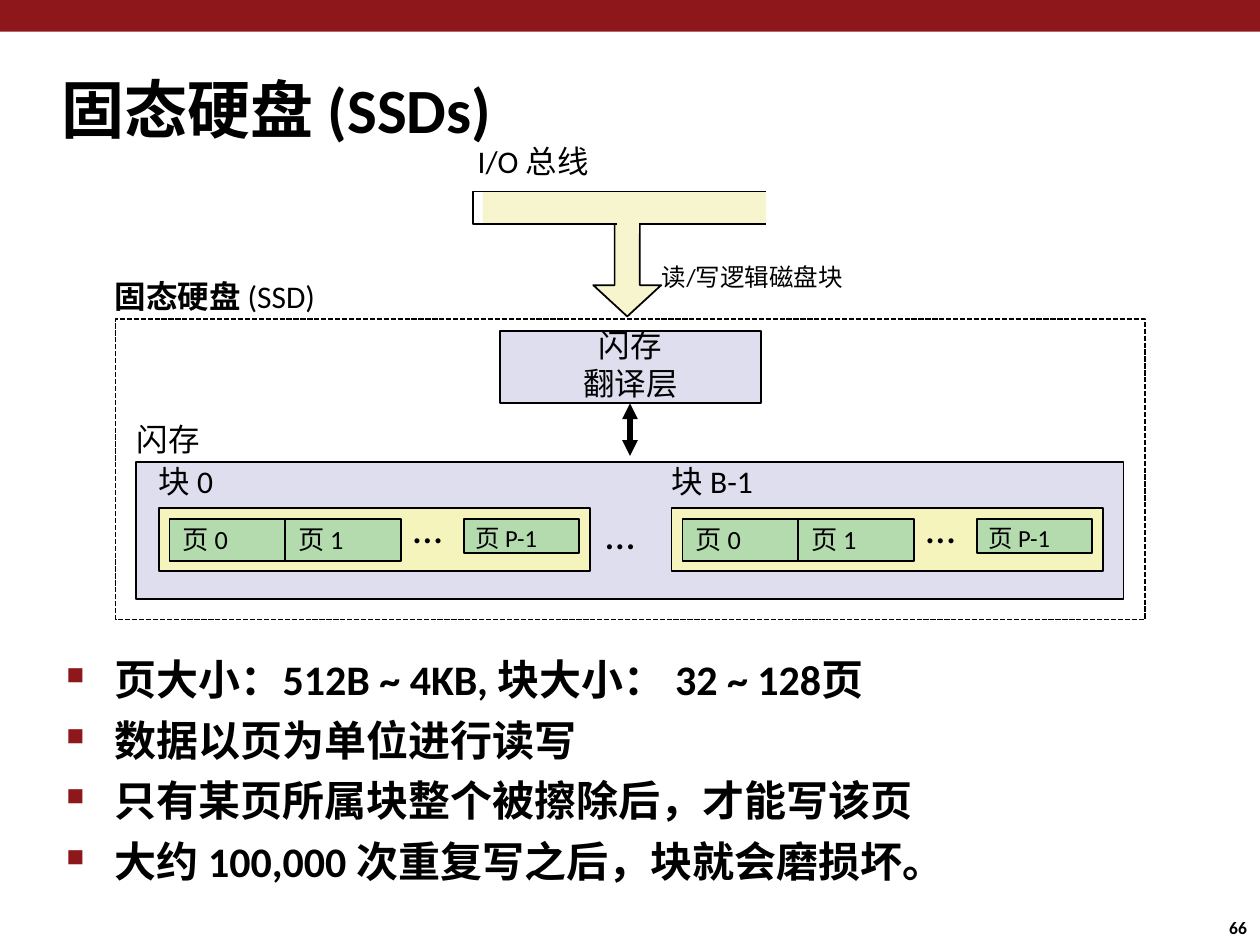
from lxml import etree
from pptx import Presentation
from pptx.dml.color import RGBColor
from pptx.enum.dml import MSO_LINE
from pptx.enum.shapes import MSO_CONNECTOR, MSO_SHAPE
from pptx.enum.text import MSO_ANCHOR, MSO_AUTO_SIZE, PP_ALIGN
from pptx.oxml.ns import qn
from pptx.util import Cm, Pt

RECTANGLE, DOWN_ARROW = MSO_SHAPE.RECTANGLE, MSO_SHAPE.DOWN_ARROW
STRAIGHT = MSO_CONNECTOR.STRAIGHT
DASHED = MSO_LINE.SQUARE_DOT
LEFT, CENTER = PP_ALIGN.LEFT, PP_ALIGN.CENTER
TOP, NO_FIT = MSO_ANCHOR.TOP, MSO_AUTO_SIZE.NONE

FONT = "Calibri"
COLORS = {
    "band": "8D171A",
    "ink": "000000",
    "paper": "FFFFFF",
    "flash": "DEDEEF",
    "block": "F6F4BD",
    "page": "B3DBAE",
    "bus": "F7F5CD",
}
BULLETS = [
    "页大小：512B ~ 4KB, 块大小： 32 ~ 128页",
    "数据以页为单位进行读写",
    "只有某页所属块整个被擦除后，才能写该页",
    "大约 100,000 次重复写之后，块就会磨损坏。",
]
BLOCKS = [(3.2, "块 0"), (13.54, "块 B-1")]
PAGE_WIDTH = 2.33


def color(name):
    return RGBColor.from_string(COLORS[name])


def place(shape, left, top, width, height):
    shape.left, shape.top = Cm(left), Cm(top)
    shape.width, shape.height = Cm(width), Cm(height)


def write(shape, lines, size, bold=False, align=LEFT):
    """Fill a shape with one paragraph per line, without margins."""
    frame = shape.text_frame
    frame.text = "\n".join(lines)
    frame.word_wrap = True
    frame.auto_size = NO_FIT
    frame.vertical_anchor = TOP
    frame.margin_left = frame.margin_right = 0
    frame.margin_top = frame.margin_bottom = 0
    for para in frame.paragraphs:
        para.alignment = align
        for span in para.runs:
            style(span, size, bold)
    return frame


def style(span, size, bold):
    span.font.name = FONT
    span.font.size = Pt(size)
    span.font.bold = bold
    span.font.color.rgb = color("ink")


def add_label(page, text, left, top, width, height, size, bold=False):
    box = page.shapes.add_textbox(Cm(left), Cm(top), Cm(width), Cm(height))
    write(box, [text], size, bold)
    return box


def add_box(page, left, top, width, height, fill=None, outlined=True,
            kind=RECTANGLE):
    box = page.shapes.add_shape(kind, Cm(left), Cm(top), Cm(width), Cm(height))
    box.shadow.inherit = False
    if fill:
        box.fill.solid()
        box.fill.fore_color.rgb = color(fill)
    else:
        box.fill.background()
    if outlined:
        box.line.color.rgb = color("ink")
        box.line.width = Pt(1)
    else:
        box.line.fill.background()
    return box


def add_double_arrow(page, x, top, bottom):
    arrow = page.shapes.add_connector(STRAIGHT, Cm(x), Cm(top), Cm(x), Cm(bottom))
    arrow.line.color.rgb = color("ink")
    arrow.line.width = Pt(3)
    line = arrow.line._get_or_add_ln()
    for end in ("a:headEnd", "a:tailEnd"):
        etree.SubElement(line, qn(end), type="triangle")
    etree.SubElement(arrow._element.spPr, qn("a:effectLst"))


def add_bus(page):
    """I/O bus, open at its right end, that flows into a down arrow."""
    arrow = add_box(page, 11.96, 4.47, 1.37, 1.91, "bus", kind=DOWN_ARROW)
    arrow.adjustments[0] = 0.37
    arrow.adjustments[1] = 0.46
    add_box(page, 9.73, 3.86, 5.71, 0.66, "bus", outlined=False)
    builder = page.shapes.build_freeform(Cm(15.44), Cm(3.86))
    corners = [(9.53, 3.86), (9.53, 4.52), (15.44, 4.52)]
    builder.add_line_segments([(Cm(x), Cm(y)) for x, y in corners], close=False)
    outline = builder.convert_to_shape()
    outline.shadow.inherit = False
    outline.fill.background()
    outline.line.color.rgb = color("ink")
    outline.line.width = Pt(1)
    add_box(page, 12.44, 4.29, 0.44, 0.42, "bus", outlined=False)
    label = add_box(page, 9.63, 2.87, 2.57, 0.97, "paper", outlined=False)
    write(label, ["I/O 总线"], 18)
    add_label(page, "读/写逻辑磁盘块", 13.34, 5.28, 5.33, 0.61, 14)


def add_translation_layer(page):
    layer = add_box(page, 10.08, 6.68, 5.26, 1.45, "flash")
    frame = write(layer, ["闪存", "翻译层"], 18, align=CENTER)
    for para, spacing in zip(frame.paragraphs, (18.8, 21.2)):
        para.line_spacing = Pt(spacing)
    add_double_arrow(page, 12.7, 8.13, 9.19)


def add_block(page, left, name):
    add_label(page, name, left, 9.32, 2.62, 0.76, 18)
    add_box(page, left, 10.24, 8.69, 1.27, "block")
    for index in range(2):
        page_left = left + 0.22 + index * PAGE_WIDTH
        add_box(page, page_left, 10.46, PAGE_WIDTH, 0.85, "page")
        add_label(page, f"页 {index}", page_left + 0.26, 10.54, 1.45, 0.66, 15)
    add_label(page, "…", left + 5.13, 10.11, 0.61, 1.07, 24)
    last = add_box(page, left + 6.15, 10.46, PAGE_WIDTH, 0.69, "page")
    frame = write(last, ["页 P-1"], 14)
    frame.margin_left, frame.margin_top = Cm(0.23), Cm(0.08)


def add_bullets(page):
    box = page.shapes.add_textbox(Cm(1.32), Cm(13.18), Cm(20.62), Cm(4.75))
    frame = write(box, BULLETS, 24, bold=True)
    for index, para in enumerate(frame.paragraphs):
        para.space_before = Pt(5.8 if index else 0)
        props = para._p.get_or_add_pPr()
        props.set("marL", str(Cm(0.99)))
        props.set("indent", str(-Cm(0.97)))
        tint = etree.SubElement(props, qn("a:buClr"))
        etree.SubElement(tint, qn("a:srgbClr"), val=COLORS["band"])
        etree.SubElement(props, qn("a:buSzPct"), val="58000")
        etree.SubElement(props, qn("a:buChar"), char="■")


def main():
    deck = Presentation()
    deck.slide_width, deck.slide_height = Cm(25.4), Cm(19.05)
    page = deck.slides.add_slide(deck.slide_layouts[5])

    add_box(page, 0, 0, 25.4, 0.64, "band", outlined=False)
    title = page.shapes.title
    place(title, 1.24, 1.42, 12.32, 1.55)
    write(title, ["固态硬盘 (SSDs)"], 36, bold=True)

    add_bus(page)
    add_box(page, 2.33, 6.43, 20.75, 6.06).line.dash_style = DASHED
    drive = add_label(page, "固态硬盘 ", 2.31, 5.59, 5.54, 0.76, 18, bold=True)
    span = drive.text_frame.paragraphs[0].add_run()
    span.text = "(SSD)"
    style(span, 18, False)

    add_translation_layer(page)
    add_label(page, "闪存", 2.76, 8.46, 1.83, 0.76, 18)
    add_box(page, 2.75, 9.32, 19.9, 2.75, "flash")
    for left, name in BLOCKS:
        add_block(page, left, name)
    add_label(page, "…", 12.21, 10.24, 0.66, 1.09, 24)

    add_bullets(page)
    add_label(page, "66", 24.78, 18.48, 0.6, 0.43, 10, bold=True)
    deck.save("out.pptx")


if __name__ == "__main__":
    main()
